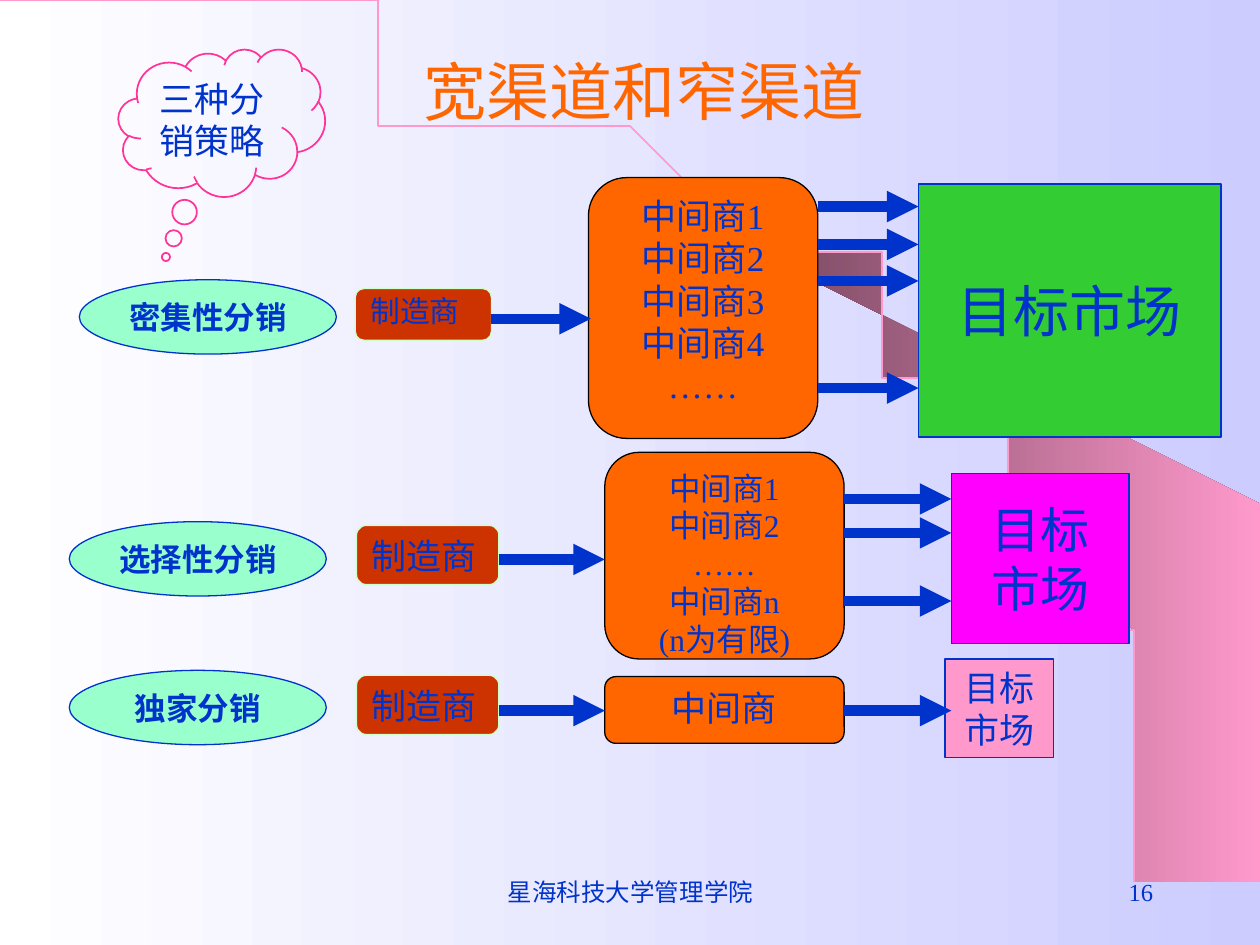
from lxml.etree import SubElement
from pptx import Presentation
from pptx.dml.color import RGBColor
from pptx.enum.shapes import MSO_CONNECTOR, MSO_SHAPE
from pptx.enum.text import MSO_ANCHOR, MSO_AUTO_SIZE, PP_ALIGN
from pptx.oxml.ns import qn
from pptx.util import Inches, Pt

TITLE = "宽渠道和窄渠道"
THOUGHT = "三种分销策略"
FOOTER = "星海科技大学管理学院"
PAGE_NUMBER = "16"

# Boxes are (left, top, width, height); arrows give their heights on the slide.
ROWS = [
    dict(strategy="密集性分销", oval=(0.63, 2.22, 2.04, 0.59),
         maker=(2.82, 2.29, 1.08, 0.41), maker_size=17, maker_spacing=0.9,
         dealers=["中间商1", "中间商2", "中间商3", "中间商4", "……"],
         dealer=(4.67, 1.41, 1.82, 2.07), dealer_size=20,
         market=["目标市场"], target=(7.29, 1.46, 2.4, 2.01),
         market_size=32, market_fill="33CC33",
         supply=2.53, supply_end=4.69, sales=[1.64, 1.94, 2.23, 3.08], sales_end=7.29),
    dict(strategy="选择性分销", oval=(0.55, 4.14, 2.04, 0.59),
         maker=(2.83, 4.17, 1.13, 0.47), maker_size=20, maker_spacing=None,
         dealers=["中间商1", "中间商2", "……", "中间商n", "(n为有限)"],
         dealer=(4.8, 3.59, 1.9, 1.64), dealer_size=18,
         market=["目标", "市场"], target=(7.55, 3.76, 1.41, 1.35),
         market_size=28, market_fill="FF00FF",
         supply=4.44, supply_end=4.8, sales=[3.96, 4.23, 4.77], sales_end=7.55),
    dict(strategy="独家分销", oval=(0.55, 5.32, 2.04, 0.59),
         maker=(2.83, 5.36, 1.13, 0.47), maker_size=20, maker_spacing=None,
         dealers=["中间商"], dealer=(4.8, 5.37, 1.9, 0.53), dealer_size=20,
         market=["目标", "市场"], target=(7.5, 5.23, 0.86, 0.78),
         market_size=20, market_fill="FF99CC",
         supply=5.64, supply_end=4.8, sales=[5.64], sales_end=7.55),
]

RIBBON = [(9.2, 7.48), (9.99, 7.49), (9.99, 4.23), (5.89, 1.73), (6.24, 1.99),
          (6.53, 2.22), (6.85, 2.5), (7.16, 2.8), (7.62, 3.3), (8.03, 3.84),
          (8.32, 4.31), (8.58, 4.79), (8.78, 5.28), (8.93, 5.72), (9.03, 6.09),
          (9.13, 6.56), (9.17, 6.96)]
ARC = [(0, 0), (5.08, 0), (9.2, 3.35), (9.2, 7.49)]

THEME = dict(
    ink="0033CC", title="FF6600", dealer="FF6600", dealer_line="000000",
    maker="CC3300", maker_line="CCFFCC", oval="99FFCC", cloud="FF3399",
    arc="FF99CC", ribbon=("76475E", "FF99CC"), page=("FFFFFF", "CCCCFF"),
    serif="Times New Roman", label="Karla", chinese="Noto Sans CJK SC",
    title_size=36, cloud_size=20, label_size=18, footer_size=14,
    thin=0.75, outline=1, arrow=6,
)


def color(value):
    return RGBColor.from_string(value)


def set_gradient(fill, colors):
    fill.gradient()
    fill.gradient_angle = 0
    for stop, value in zip(fill.gradient_stops, colors):
        stop.color.rgb = color(value)


def set_outline(line, value, width):
    line.color.rgb = color(value)
    line.width = Pt(width)


def write(shape, lines, size, font=THEME["serif"], ink=THEME["ink"], bold=False,
          align=PP_ALIGN.CENTER, anchor=MSO_ANCHOR.MIDDLE, wrap=True, spacing=None):
    frame = shape.text_frame
    frame_format = dict(
        auto_size=MSO_AUTO_SIZE.NONE, word_wrap=wrap, vertical_anchor=anchor,
        margin_left=Inches(0.1), margin_right=Inches(0.1),
        margin_top=Inches(0.05), margin_bottom=Inches(0.05))
    for name, value in frame_format.items():
        setattr(frame, name, value)
    for index, line in enumerate(lines):
        para = frame.paragraphs[0] if index == 0 else frame.add_paragraph()
        para.alignment, para.line_spacing = align, spacing
        span = para.add_run()
        span.text = line
        for name, value in dict(name=font, size=Pt(size), bold=bold).items():
            setattr(span.font, name, value)
        span.font.color.rgb = color(ink)
        SubElement(span.font._element, qn("a:ea"), typeface=THEME["chinese"])


def add_box(page, kind, place, fill, line, width=THEME["thin"]):
    box = page.shapes.add_shape(kind, *map(Inches, place))
    box.shadow.inherit = False
    if fill:
        box.fill.solid()
        box.fill.fore_color.rgb = color(fill)
    else:
        box.fill.background()
    set_outline(box.line, line, width)
    return box


def add_arrow(page, start, end, height):
    arrow = page.shapes.add_connector(
        MSO_CONNECTOR.STRAIGHT, *map(Inches, (start, height, end, height)))
    set_outline(arrow.line, THEME["ink"], THEME["arrow"])
    properties = arrow._element.spPr
    SubElement(properties.find(qn("a:ln")), qn("a:tailEnd"), type="triangle")
    SubElement(properties, qn("a:effectLst"))


def add_outline(page, points, close):
    builder = page.shapes.build_freeform(*points[0], scale=Inches(1))
    builder.add_line_segments(points[1:], close=close)
    shape = builder.convert_to_shape()
    shape.shadow.inherit = False
    return shape


def bezier(points, steps=60):
    """Sample a cubic curve given by its four control points."""
    weights = [((1 - t) ** 3, 3 * t * (1 - t) ** 2, 3 * t * t * (1 - t), t ** 3)
               for t in (step / steps for step in range(steps + 1))]
    return [tuple(sum(w * point[axis] for w, point in zip(weight, points))
                  for axis in (0, 1)) for weight in weights]


def add_backdrop(page):
    set_gradient(page.background.fill, THEME["page"])
    ribbon = add_outline(page, RIBBON, close=True)
    set_gradient(ribbon.fill, THEME["ribbon"])
    ribbon.line.fill.background()
    arc = add_outline(page, bezier(ARC), close=False)
    arc.fill.background()
    set_outline(arc.line, THEME["arc"], THEME["outline"])


def add_title(page):
    title = page.shapes.title
    page.shapes._spTree.append(title._element)  # in front of the backdrop
    for name, value in zip(("left", "top", "width", "height"), (0.86, 0.31, 8.5, 0.82)):
        setattr(title, name, Inches(value))
    write(title, [TITLE], THEME["title_size"], THEME["chinese"], THEME["title"])


def add_row(page, row):
    rounded = MSO_SHAPE.FLOWCHART_ALTERNATE_PROCESS
    oval = add_box(page, MSO_SHAPE.OVAL, row["oval"], THEME["oval"], THEME["ink"])
    write(oval, [row["strategy"]], THEME["label_size"], THEME["label"], bold=True, wrap=False)
    maker = add_box(page, rounded, row["maker"], THEME["maker"], THEME["maker_line"])
    write(maker, ["制造商"], row["maker_size"], align=PP_ALIGN.JUSTIFY,
          anchor=MSO_ANCHOR.TOP, spacing=row["maker_spacing"])
    dealer = add_box(page, rounded, row["dealer"], THEME["dealer"], THEME["dealer_line"])
    write(dealer, row["dealers"], row["dealer_size"], anchor=MSO_ANCHOR.TOP)
    target = add_box(page, MSO_SHAPE.RECTANGLE, row["target"], row["market_fill"], THEME["ink"])
    write(target, row["market"], row["market_size"], wrap=False)

    maker_right, dealer_right = (row[part][0] + row[part][2] for part in ("maker", "dealer"))
    add_arrow(page, maker_right, row["supply_end"], row["supply"])
    for height in row["sales"]:
        add_arrow(page, dealer_right, row["sales_end"], height)


def add_thought(page):
    cloud = add_box(page, MSO_SHAPE.CLOUD_CALLOUT, (0.94, 0.39, 1.64, 1.17),
                    None, THEME["cloud"], THEME["outline"])
    cloud.adjustments[0], cloud.adjustments[1] = -0.27, 0.91
    write(cloud, [THOUGHT], THEME["cloud_size"], THEME["chinese"],
          align=PP_ALIGN.LEFT, anchor=MSO_ANCHOR.TOP)


def add_footer(page):
    for text, left, width, align in [(FOOTER, 3.42, 3.17, PP_ALIGN.CENTER),
                                     (PAGE_NUMBER, 7.17, 2.08, PP_ALIGN.RIGHT)]:
        box = page.shapes.add_textbox(*map(Inches, (left, 6.83, width, 0.5)))
        write(box, [text], THEME["footer_size"], align=align)


def main():
    deck = Presentation()
    deck.slide_width, deck.slide_height = Inches(10), Inches(7.5)
    page = deck.slides.add_slide(deck.slide_layouts[5])
    add_backdrop(page)
    add_title(page)
    for row in ROWS:
        add_row(page, row)
    add_thought(page)
    add_footer(page)
    deck.save("out.pptx")


if __name__ == "__main__":
    main()
